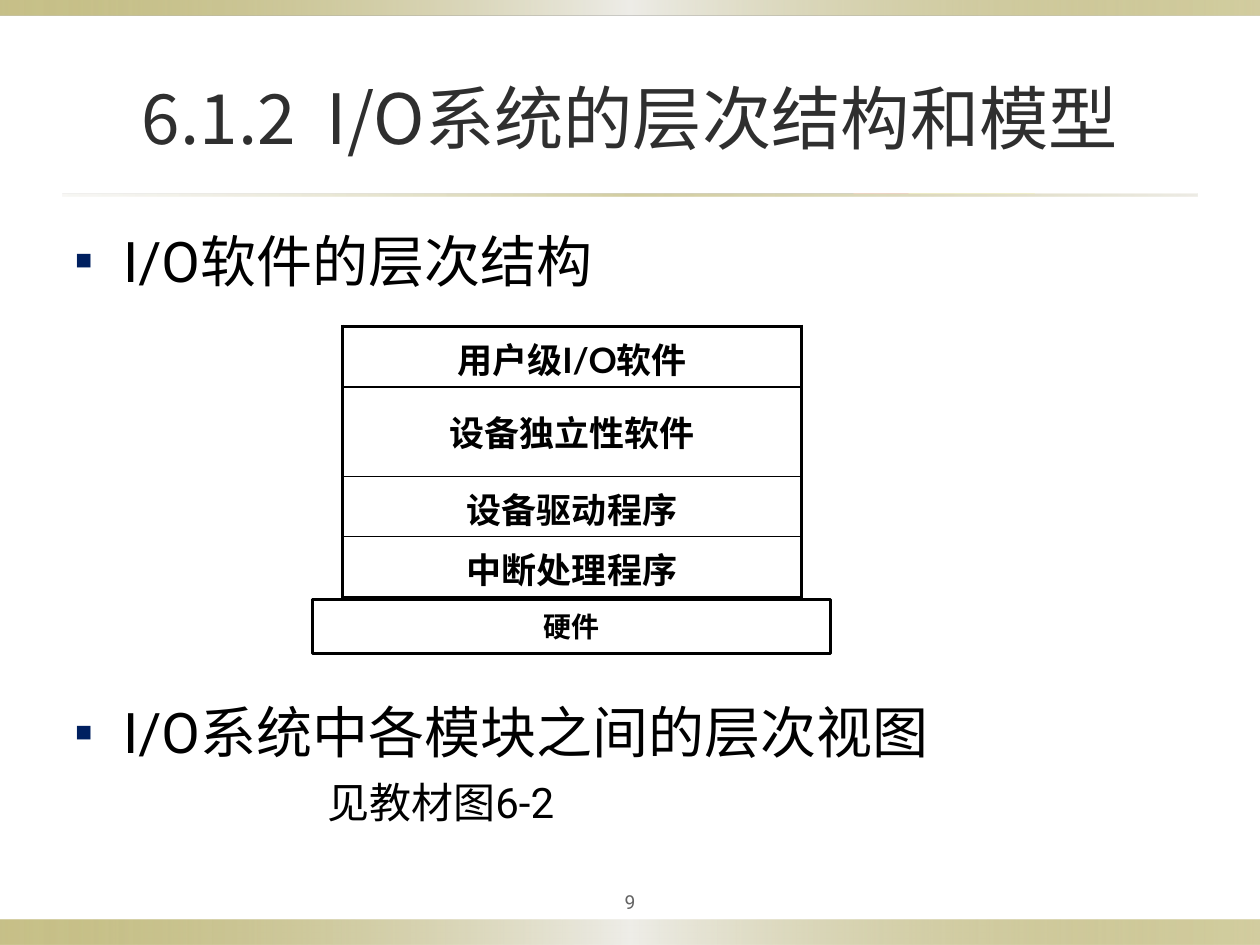
from pptx import Presentation
from pptx.dml.color import RGBColor
from pptx.enum.shapes import MSO_SHAPE
from pptx.enum.text import MSO_ANCHOR, PP_ALIGN
from pptx.oxml import parse_xml
from pptx.oxml.ns import nsdecls, qn
from pptx.util import Inches, Pt

RECT = MSO_SHAPE.RECTANGLE
MIDDLE = MSO_ANCHOR.MIDDLE
CENTER = PP_ALIGN.CENTER
CJK = "Noto Sans CJK SC"
BLACK = "000000"
BAND = [(0, "918415", 50), (50, "EEEDE8", 100), (100, "918415", 40)]
RULE = [(0, "DCD9CC", 20), (50, "918415", 40), (100, "DCD9CC", 50)]
LAYERS = [("用户级I/O软件", 0.48), ("设备独立性软件", 0.71),
          ("设备驱动程序", 0.48), ("中断处理程序", 0.48)]


def color(code):
    return RGBColor.from_string(code)


def inches(box):
    return [Inches(n) for n in box]


def style(para, size, font="Roboto", code=BLACK, bold=False):
    for run in para.runs:
        run.font.size = Pt(size)
        run.font.name = font
        run.font.bold = bold
        run.font.color.rgb = color(code)
        latin = run.font._element.find(qn("a:latin"))
        latin.addnext(parse_xml(f'<a:ea {nsdecls("a")} typeface="{CJK}"/>'))


def margins(frame, side, top):
    frame.margin_left = frame.margin_right = Inches(side)
    frame.margin_top = frame.margin_bottom = Inches(top)


def add_strip(slide, box, stops):
    """Rectangle with a left-to-right gradient of (position, colour, opacity)."""
    strip = slide.shapes.add_shape(RECT, *inches(box))
    strip.shadow.inherit = False
    strip.line.fill.background()
    strip.fill.background()
    parts = "".join(
        f'<a:gs pos="{pos * 1000}"><a:srgbClr val="{code}">'
        f'<a:alpha val="{alpha * 1000}"/></a:srgbClr></a:gs>'
        for pos, code, alpha in stops)
    grad = parse_xml(f'<a:gradFill {nsdecls("a")} rotWithShape="1">'
                     f'<a:gsLst>{parts}</a:gsLst><a:lin ang="0" scaled="0"/></a:gradFill>')
    props = strip._element.spPr
    props.replace(props.find(qn("a:noFill")), grad)


def add_title(slide, box, text):
    title = slide.shapes.title
    title.left, title.top, title.width, title.height = inches(box)
    frame = title.text_frame
    frame.text = text
    frame.vertical_anchor = MIDDLE
    frame.paragraphs[0].alignment = CENTER
    style(frame.paragraphs[0], 39.6, CJK, "2F2F2F")


def add_point(slide, box, text, note=None):
    """Bulleted line, with an optional indented note below it."""
    frame = slide.shapes.add_textbox(*inches(box)).text_frame
    frame.word_wrap = True
    point = frame.paragraphs[0]
    point.text = text
    style(point, 32)
    props = point._p.get_or_add_pPr()
    props.set("marL", str(Inches(0.38)))
    props.set("indent", str(-Inches(0.38)))
    for tag in ('buClr {}><a:srgbClr val="002060"/></a:buClr>',
                'buSzPct {} val="50000"/>', 'buFont {} typeface="Arial"/>',
                'buChar {} char="■"/>'):
        props.append(parse_xml("<a:" + tag.format(nsdecls("a"))))
    if note:
        para = frame.add_paragraph()
        para.text = note
        para.space_before = Pt(6.4)
        para._p.get_or_add_pPr().set("marL", str(Inches(2)))
        style(para, 24)


def add_border(cell, widths):
    props = cell._tc.get_or_add_tcPr()
    for spot, (side, width) in enumerate(zip("LRTB", widths)):
        props.insert(spot, parse_xml(
            f'<a:ln{side} {nsdecls("a")} w="{Pt(width)}"><a:solidFill>'
            f'<a:srgbClr val="{BLACK}"/></a:solidFill></a:ln{side}>'))


def add_layers(slide, box):
    table = slide.shapes.add_table(len(LAYERS), 1, *inches(box)).table
    table.first_row = table.horz_banding = False
    last = len(LAYERS) - 1
    for i, (text, height) in enumerate(LAYERS):
        table.rows[i].height = Inches(height)
        cell = table.cell(i, 0)
        cell.text_frame.text = text
        cell.vertical_anchor = MIDDLE
        cell.fill.background()
        para = cell.text_frame.paragraphs[0]
        para.alignment = CENTER
        style(para, 20, "Lato", bold=True)
        add_border(cell, (2.25, 2.25, 2.25 if i == 0 else 1,
                          2.25 if i == last else 1))


def add_base(slide, box, text):
    base = slide.shapes.add_shape(RECT, *inches(box))
    base.shadow.inherit = False
    base.fill.background()
    base.line.color.rgb = color(BLACK)
    base.line.width = Pt(1.5)
    frame = base.text_frame
    frame.text = text
    frame.word_wrap = False
    frame.vertical_anchor = MIDDLE
    margins(frame, 0.02, 0.01)
    frame.paragraphs[0].alignment = CENTER
    style(frame.paragraphs[0], 16, bold=True)


def add_number(slide, box, text):
    frame = slide.shapes.add_textbox(*inches(box)).text_frame
    frame.text = text
    frame.word_wrap = True
    frame.vertical_anchor = MIDDLE
    margins(frame, 0.05, 0.05)
    frame.paragraphs[0].alignment = CENTER
    style(frame.paragraphs[0], 11, code="636363")


def main():
    deck = Presentation()
    deck.slide_width, deck.slide_height = Inches(10), Inches(7.5)
    slide = deck.slides.add_slide(deck.slide_layouts[5])

    # Bands and title rule
    add_strip(slide, (0, 7.3, 10, 0.2), BAND)
    add_strip(slide, (0, 0, 10, 0.12), BAND)
    add_strip(slide, (0.5, 1.54, 9, 0.02), RULE)

    # Title and points
    add_title(slide, (0.5, 0.3, 9, 1.25), "6.1.2  I/O系统的层次结构和模型")
    add_point(slide, (0.5, 1.75, 9, 0.75), "I/O软件的层次结构")
    add_point(slide, (0.5, 5.49, 9, 1.39), "I/O系统中各模块之间的层次视图", "见教材图6-2")

    # Software layers on the hardware base
    add_layers(slide, (2.72, 2.59, 3.64, 2.15))
    add_base(slide, (2.48, 4.76, 4.11, 0.43), "硬件")

    # Page number
    add_number(slide, (4.5, 7, 1, 0.31), "9")
    deck.save("out.pptx")


if __name__ == "__main__":
    main()
